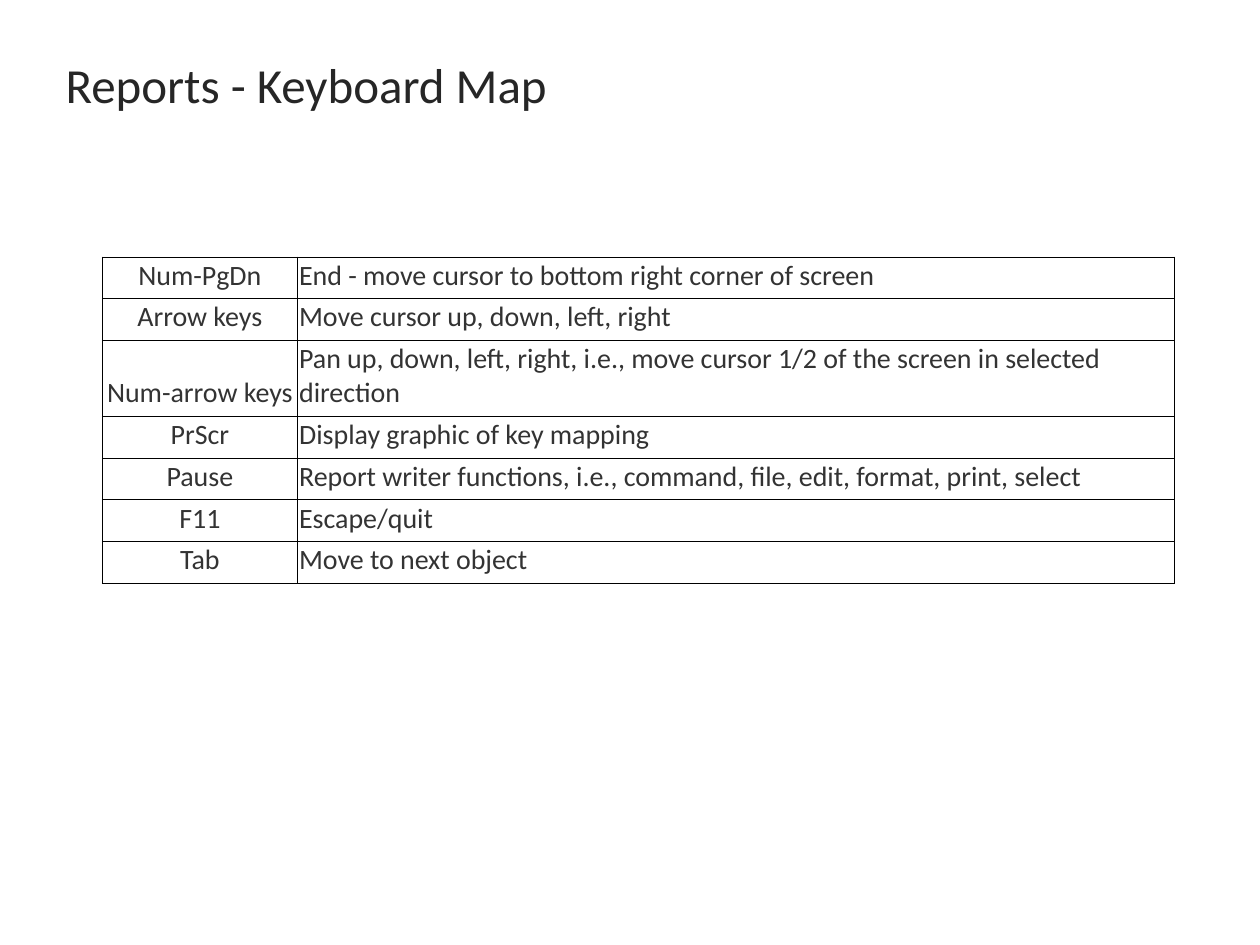
from lxml import etree
from pptx import Presentation
from pptx.dml.color import RGBColor
from pptx.enum.text import MSO_ANCHOR, PP_ALIGN
from pptx.oxml.ns import qn
from pptx.util import Cm, Pt

LEFT, CENTER = PP_ALIGN.LEFT, PP_ALIGN.CENTER
MIDDLE, BOTTOM = MSO_ANCHOR.MIDDLE, MSO_ANCHOR.BOTTOM
WHITE = RGBColor(0xFF, 0xFF, 0xFF)
BLACK = RGBColor(0, 0, 0)
DARK = RGBColor(0x26, 0x26, 0x26)
GRAY = RGBColor(0x33, 0x33, 0x33)

TITLE = "Reports - Keyboard Map"
KEYS = [
    ("Num-PgDn", "End - move cursor to bottom right corner of screen"),
    ("Arrow keys", "Move cursor up, down, left, right"),
    ("Num-arrow keys", "Pan up, down, left, right, i.e., move cursor 1/2 "
                       "of the screen in selected direction"),
    ("PrScr", "Display graphic of key mapping"),
    ("Pause", "Report writer functions, i.e., command, file, edit, "
              "format, print, select"),
    ("F11", "Escape/quit"),
    ("Tab", "Move to next object"),
]
WIDTHS = (3.94, 17.68)
ALIGNS = (CENTER, LEFT)
LINE = 0.69  # height of one text line, cm
PAD = 0.15   # top and bottom cell margins together, cm
LONG = 75    # longest text that fits on one line


def write(frame, text, size=16, color=GRAY, align=LEFT):
    para = frame.paragraphs[0]
    para.alignment = align
    run = para.add_run()
    run.text = text
    run.font.name = "Calibri"
    run.font.size = Pt(size)
    run.font.color.rgb = color


def border(cell, color=BLACK, width=0.5):
    props = cell._tc.get_or_add_tcPr()
    for side in ("lnL", "lnR", "lnT", "lnB"):
        line = etree.SubElement(props, qn("a:" + side), w=str(Pt(width)))
        fill = etree.SubElement(line, qn("a:solidFill"))
        etree.SubElement(fill, qn("a:srgbClr"), val=str(color))


def style(cell):
    border(cell)
    cell.fill.solid()
    cell.fill.fore_color.rgb = WHITE
    cell.vertical_anchor = BOTTOM
    cell.margin_left = cell.margin_right = cell.margin_top = Cm(0.03)
    cell.margin_bottom = Cm(0.12)


def main():
    deck = Presentation()
    deck.slide_width, deck.slide_height = Cm(25.4), Cm(19.05)
    slide = deck.slides.add_slide(deck.slide_layouts[5])

    title = slide.shapes.title
    title.left, title.top = Cm(1.07), Cm(0.53)
    title.width, title.height = Cm(16.94), Cm(2.34)
    title.text_frame.vertical_anchor = MIDDLE
    write(title.text_frame, TITLE, size=28, color=DARK)

    heights = [PAD + LINE * (2 if len(text) > LONG else 1) for _, text in KEYS]
    table = slide.shapes.add_table(
        len(KEYS), len(WIDTHS), Cm(2.06), Cm(5.18),
        Cm(sum(WIDTHS)), Cm(sum(heights))).table
    table.first_row = table.horz_banding = False
    for col, width in zip(table.columns, WIDTHS):
        col.width = Cm(width)
    for row, height, texts in zip(table.rows, heights, KEYS):
        row.height = Cm(height)
        for cell, text, align in zip(row.cells, texts, ALIGNS):
            style(cell)
            write(cell.text_frame, text, align=align)

    deck.save("out.pptx")


if __name__ == "__main__":
    main()
